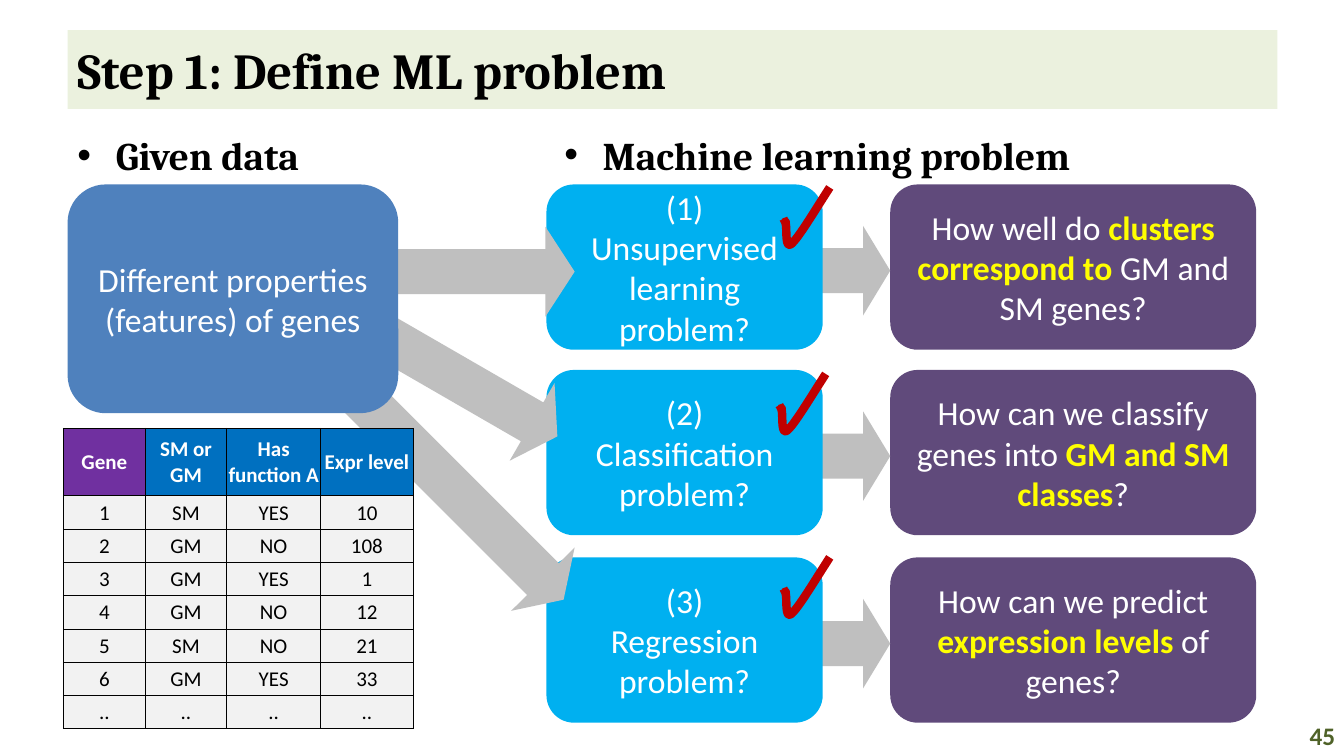
import pptx
import pptx.util
import pptx.dml.color
import pptx.enum.shapes
import pptx.enum.text
import pptx.oxml
import pptx.oxml.ns
from dataclasses import dataclass

Inches = pptx.util.Inches
Pt = pptx.util.Pt
SHAPE = pptx.enum.shapes.MSO_SHAPE
ALIGN = pptx.enum.text.PP_ALIGN
MIDDLE = pptx.enum.text.MSO_ANCHOR.MIDDLE


@dataclass(frozen=True)
class Theme:
    heading_font: str = "Cambria"
    body_font: str = "Calibri"
    title_size: int = 36
    heading_size: int = 28
    box_size: int = 24
    number_size: int = 18
    table_size: int = 15
    black: str = "000000"
    white: str = "FFFFFF"
    highlight: str = "FFFF00"
    title_band: str = "EBF1DE"
    data_box: str = "4F81BD"
    problem_box: str = "00B0F0"
    question_box: str = "604A7B"
    arrow: str = "BFBFBF"
    tick: str = "C00000"
    number: str = "4F6228"
    gene_header: str = "7030A0"
    feature_header: str = "0070C0"
    table_body: str = "F2F2F2"


THEME = Theme()

# Each row: problem paragraphs, question parts (odd parts highlighted), top, tick offset
PROBLEMS = [
    (["(1)", "Unsupervised learning problem?"],
     ["How well do ", "clusters correspond to ", "GM and SM genes?"], 1.83, (2.35, 0.03)),
    (["(2)", "Classification problem?"],
     ["How can we classify genes into ", "GM and SM classes", "?"], 3.67, (2.31, 0.04)),
    (["(3)", "Regression", "problem?"],
     ["How can we predict ", "expression levels ", "of genes?"], 5.53, (2.35, 0)),
]
# Left, top, length and rotation of the arrows from the data to the problems
DATA_ARROWS = [(3.44, 2.25, 2.26, 0), (3.42, 3.32, 2.26, 30), (2.73, 4.32, 3.35, 45)]
GENES = [
    ["Gene", "SM or GM", "Has function A", "Expr level"],
    ["1", "SM", "YES", "10"],
    ["2", "GM", "NO", "108"],
    ["3", "GM", "YES", "1"],
    ["4", "GM", "NO", "12"],
    ["5", "SM", "NO", "21"],
    ["6", "GM", "YES", "33"],
    ["..", "..", "..", ".."],
]
GENE_COLUMNS = [0.81, 0.81, 0.93, 0.92]
# Cubic curves of the tick, relative to its top left corner
TICK_START = (0, 0.31)
TICK_CURVES = [
    [(0.05, 0.40), (0.01, 0.31), (0.02, 0.35)],
    [(0.04, 0.39), (0.01, 0.62), (0.08, 0.56)],
    [(0.15, 0.50), (0.30, 0.25), (0.46, 0)],
]


def rgb(color):
    return pptx.dml.color.RGBColor.from_string(color)


def format_run(run, size, color, bold=False, font=THEME.body_font):
    run.font.name, run.font.size, run.font.bold = font, Pt(size), bold
    run.font.color.rgb = rgb(color)


def format_frame(frame, align, **style):
    frame.word_wrap = True
    for paragraph in frame.paragraphs:
        paragraph.alignment = align
        for run in paragraph.runs:
            format_run(run, **style)


def add_block(slide, preset, box, color):
    block = slide.shapes.add_shape(preset, *map(Inches, box))
    block.shadow.inherit = False
    block.fill.solid()
    block.fill.fore_color.rgb = rgb(color)
    block.line.fill.background()
    block.text_frame.vertical_anchor = MIDDLE
    return block


def add_arrow(slide, left, top, length, rotation=0):
    arrow = add_block(slide, SHAPE.RIGHT_ARROW, (left, top, length, 0.89), THEME.arrow)
    arrow.adjustments[1] = 0.325
    arrow.rotation = rotation


def add_title(slide, box, text):
    band = add_block(slide, SHAPE.RECTANGLE, box, THEME.title_band)
    band.text_frame.text = text
    format_frame(band.text_frame, ALIGN.LEFT, size=THEME.title_size, color=THEME.black,
                 bold=True, font=THEME.heading_font)


def add_heading(slide, box, text):
    frame = slide.shapes.add_textbox(*map(Inches, box)).text_frame
    frame.text = text
    properties = frame.paragraphs[0]._p.get_or_add_pPr()
    properties.set("marL", str(Inches(0.38)))
    properties.set("indent", str(Inches(-0.38)))
    for tag, name, value in (("buFont", "typeface", "Arial"), ("buChar", "char", "•")):
        bullet = pptx.oxml.parse_xml(f'<a:{tag} {pptx.oxml.ns.nsdecls("a")} {name}="{value}"/>')
        properties.append(bullet)
    format_frame(frame, ALIGN.LEFT, size=THEME.heading_size, color=THEME.black,
                 bold=True, font=THEME.heading_font)


def add_page_number(slide, box, number):
    frame = slide.shapes.add_textbox(*map(Inches, box)).text_frame
    frame.text = number
    frame.vertical_anchor = MIDDLE
    format_frame(frame, ALIGN.RIGHT, size=THEME.number_size, color=THEME.number, bold=True)


def add_round_box(slide, box, color, lines):
    frame = add_block(slide, SHAPE.ROUNDED_RECTANGLE, box, color).text_frame
    frame.text = "\n".join(lines)
    format_frame(frame, ALIGN.CENTER, size=THEME.box_size, color=THEME.white)


def add_question(slide, box, parts):
    frame = add_block(slide, SHAPE.ROUNDED_RECTANGLE, box, THEME.question_box).text_frame
    frame.word_wrap = True
    paragraph = frame.paragraphs[0]
    paragraph.alignment = ALIGN.CENTER
    for index, part in enumerate(parts):
        run = paragraph.add_run()
        run.text = part
        key = index % 2 == 1
        format_run(run, THEME.box_size, THEME.highlight if key else THEME.white, key)


def add_problem_row(slide, box, problem, question):
    left, top, width, height = box
    question_left, problem_width = left + 3.41, 2.74
    add_question(slide, (question_left, top, left + width - question_left, height), question)
    add_arrow(slide, left + 2.58, top + 0.41, 0.83)
    add_round_box(slide, (left, top, problem_width, height), THEME.problem_box, problem)


def add_tick(slide, left, top):
    def place(point):
        return Inches(left + point[0]), Inches(top + point[1])

    # Sample each curve in short straight steps
    points, start, steps = [], TICK_START, 12
    for curve in TICK_CURVES:
        for step in range(1, steps + 1):
            t = step / steps
            weights = ((1 - t) ** 3, 3 * t * (1 - t) ** 2, 3 * t ** 2 * (1 - t), t ** 3)
            controls = [start, *curve]
            points.append(tuple(sum(w * c[axis] for w, c in zip(weights, controls))
                                for axis in (0, 1)))
        start = curve[-1]
    builder = slide.shapes.build_freeform(*place(TICK_START))
    builder.add_line_segments([place(point) for point in points], close=False)
    tick = builder.convert_to_shape()
    tick.shadow.inherit = False
    tick.fill.background()
    tick.line.color.rgb = rgb(THEME.tick)
    tick.line.width = Pt(6)


def set_borders(cell, widths):
    properties = cell._tc.get_or_add_tcPr()
    for index, (side, width) in enumerate(zip("LRTB", widths)):
        properties.insert(index, pptx.oxml.parse_xml(
            f'<a:ln{side} {pptx.oxml.ns.nsdecls("a")} w="{Pt(width)}"><a:solidFill>'
            f'<a:srgbClr val="{THEME.black}"/></a:solidFill></a:ln{side}>'))


def add_gene_table(slide, box):
    table = slide.shapes.add_table(len(GENES), len(GENE_COLUMNS), *map(Inches, box)).table
    for column, width in zip(table.columns, GENE_COLUMNS):
        column.width = Inches(width)
    for r, values in enumerate(GENES):
        header = r == 0
        table.rows[r].height = Inches(0.67 if header else 0.33)
        for c, value in enumerate(values):
            cell = table.cell(r, c)
            cell.text = value
            cell.vertical_anchor = MIDDLE
            cell.margin_left = cell.margin_right = cell.margin_top = Inches(0.01)
            cell.margin_bottom = 0
            cell.fill.solid()
            header_color = THEME.feature_header if c else THEME.gene_header
            cell.fill.fore_color.rgb = rgb(header_color if header else THEME.table_body)
            format_frame(cell.text_frame, ALIGN.CENTER, size=THEME.table_size,
                         color=THEME.white if header else THEME.black, bold=header)
            # Thick lines around the header and the first two columns
            thick = (c < 3, c < 2, r < 2, header)
            set_borders(cell, [1 if is_thick else 0.5 for is_thick in thick])


def main():
    deck = pptx.Presentation()
    deck.slide_width, deck.slide_height = Inches(13.33), Inches(7.5)
    slide = deck.slides.add_slide(deck.slide_layouts[6])

    # Problems and the questions they lead to
    for problem, question, top, _ in PROBLEMS:
        add_problem_row(slide, (5.42, top, 7.04, 1.64), problem, question)

    # Title, headings and page number
    add_title(slide, (0.67, 0.3, 12, 0.78), "Step 1: Define ML problem")
    add_heading(slide, (0.67, 1.25, 5.89, 5.85), "Given data")
    add_heading(slide, (5.5, 1.25, 7.17, 0.64), "Machine learning problem")
    add_page_number(slide, (12.67, 7.1, 0.67, 0.4), "45")

    # Given data
    for arrow in DATA_ARROWS:
        add_arrow(slide, *arrow)
    add_round_box(slide, (0.67, 1.83, 3.28, 2.27), THEME.data_box,
                  ["Different properties (features) of genes"])
    add_gene_table(slide, (0.63, 4.25, 3.47, 2.95))

    # Ticks on the problems
    for _, _, top, (across, down) in PROBLEMS:
        add_tick(slide, 5.42 + across, top + down)
    deck.save("out.pptx")


if __name__ == "__main__":
    main()
